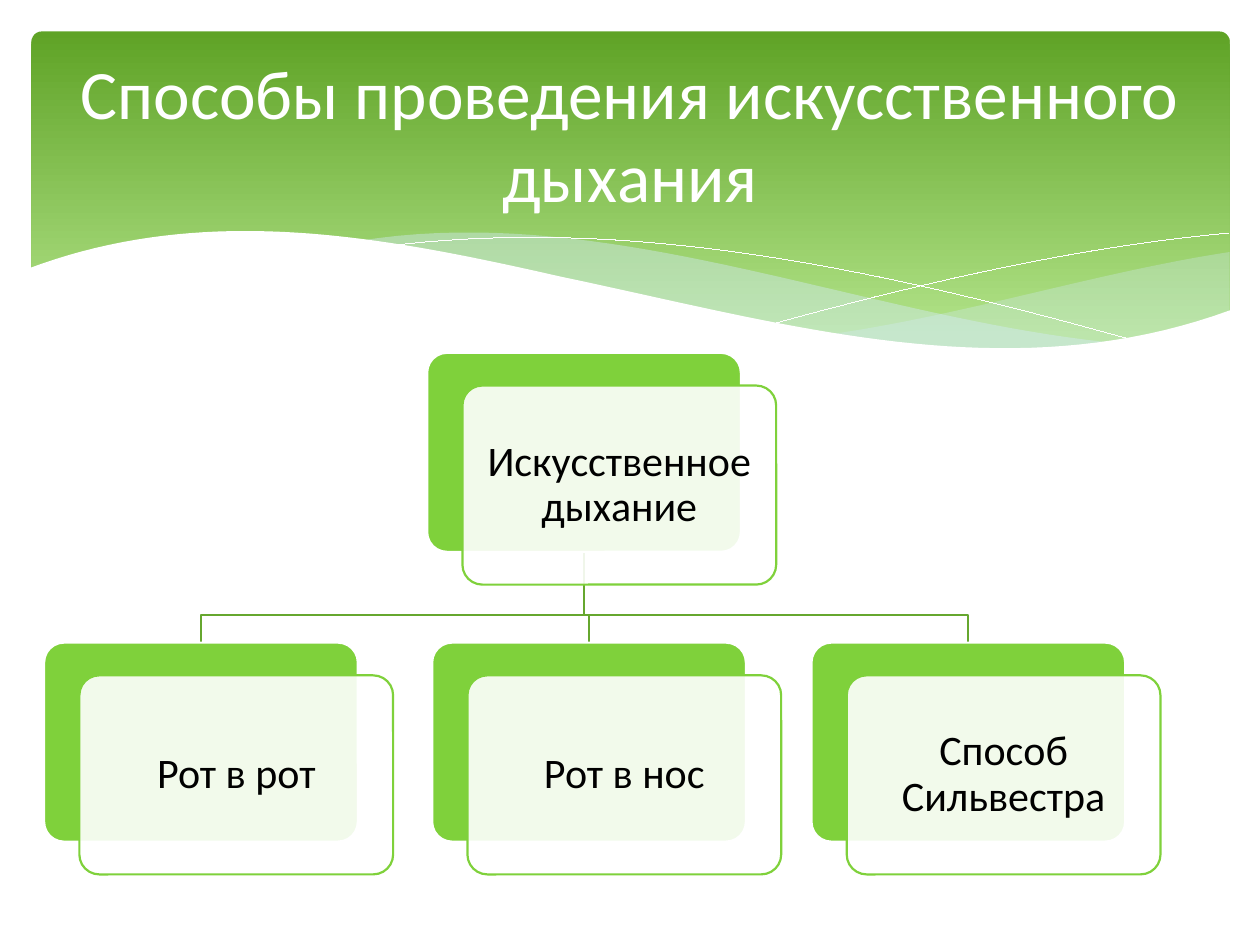
import math

import lxml.etree
import pptx
import pptx.dml.color
import pptx.enum.shapes
import pptx.enum.text
import pptx.oxml.ns
import pptx.util

Inches = pptx.util.Inches
Pt = pptx.util.Pt
rgb = pptx.dml.color.RGBColor.from_string
ROUNDED = pptx.enum.shapes.MSO_SHAPE.ROUNDED_RECTANGLE
MIDDLE = pptx.enum.text.MSO_ANCHOR.MIDDLE
CENTER = pptx.enum.text.PP_ALIGN.CENTER

WHITE, BLACK = "FFFFFF", "000000"
LIME, BRANCH_GREEN, PALE_BLUE = "7FD13B", "66A72F", "D6ECFF"
BANNER_TOP, BANNER_BOTTOM = "5FA326", "B2E389"


def paint(shape, fill=None, line=None, width=0, opacity=100):
    """Set fill, outline and fill opacity (percent), without a shadow."""
    shape.shadow.inherit = False
    for target, colour in ((shape.fill, fill), (shape.line.fill, line)):
        if colour:
            target.solid()
            target.fore_color.rgb = rgb(colour)
        else:
            target.background()
    if line:
        shape.line.width = Pt(width)
    if opacity < 100:
        qn = pptx.oxml.ns.qn
        colour_node = shape._element.spPr.find(qn("a:solidFill"))[0]
        lxml.etree.SubElement(colour_node, qn("a:alpha"), val=str(opacity * 1000))


def outline(points, closed):
    """Draw a freeform through points given in inches."""
    start, *rest = [(Inches(x), Inches(y)) for x, y in points]
    builder = slide.shapes.build_freeform(*start)
    builder.add_line_segments(rest, close=closed)
    return builder.convert_to_shape()


deck = pptx.Presentation()
deck.slide_width, deck.slide_height = Inches(10), Inches(7.5)
slide = deck.slides.add_slide(deck.slide_layouts[5])

# Green banner
MARGIN = 0.25
banner = slide.shapes.add_shape(
    ROUNDED, Inches(MARGIN), Inches(MARGIN), Inches(9.51), Inches(2.7))
banner.adjustments[0] = 0.03
paint(banner)
banner.fill.gradient()
banner.fill.gradient_angle = 270
for stop, colour, position in zip(
        banner.fill.gradient_stops, (BANNER_TOP, BANNER_BOTTOM), (0, 0.9)):
    stop.color.rgb = rgb(colour)
    stop.position = position

# Waves: each edge is a Bezier curve from one x to another, given by the
# heights of its control points, which are evenly spaced in x
CURVE_STEPS = 40
HAIRLINE = 0.01
right_wave = [(9.76, 6.61, (2, 2.16, 2.5, 2.65)),
              (6.61, 9.76, (2.65, 2.81, 2.9, 2.47))]
middle_wave = [(8.93, 2.86, (2.73, 2.55, 1.59, 1.91)),
               (2.86, 8.93, (1.91, 2.21, 2.98, 2.73))]
falling_line = [(3.09, 9.07, (1.95, 1.71, 2.16, 2.72))]
rising_line = [(6.13, 9.75, (2.57, 2.24, 1.96, 1.85))]
white_wave = [(9.77, 4.47, (2.46, 3.11, 2.57, 2.2)),
              (4.47, 0.23, (2.2, 1.88, 1.6, 2.13)),
              (0.23, 9.77, (3.29, 3.29))]
for edges, fill, opacity, line in (
        (right_wave, PALE_BLUE, 29, None),
        (middle_wave, PALE_BLUE, 40, None),
        (falling_line, None, 100, WHITE),
        (rising_line, None, 100, WHITE),
        (white_wave, WHITE, 100, None)):
    points = []
    for start_x, end_x, heights in edges:
        degree = len(heights) - 1
        for step in range(CURVE_STEPS + 1):
            t = step / CURVE_STEPS
            y = sum(math.comb(degree, i) * t**i * (1 - t)**(degree - i) * height
                    for i, height in enumerate(heights))
            points.append((start_x + t * (end_x - start_x), y))
    paint(outline(points, closed=fill is not None), fill, line, HAIRLINE, opacity)

# Hierarchy: one root card above a row of child cards
CARD_WIDTH, CARD_HEIGHT = 2.49, 1.58
SHIFT_X, SHIFT_Y = 0.28, 0.26
LABEL_INSET = 0.05
ROOT_TOP, BRANCH_Y, CHILD_TOP = 2.8, 4.88, 5.1
root = ("Искусственное дыхание", 3.39, ROOT_TOP)
children = [("Рот в рот", 0.35, CHILD_TOP),
            ("Рот в нос", 3.43, CHILD_TOP),
            ("Способ Сильвестра", 6.44, CHILD_TOP)]

# Branches from the root to each child
root_x = root[1] + CARD_WIDTH / 2
for text, left, top in reversed(children):
    child_x = left + CARD_WIDTH / 2
    branch = outline([(root_x, ROOT_TOP + CARD_HEIGHT), (root_x, BRANCH_Y),
                      (child_x, BRANCH_Y), (child_x, top)], closed=False)
    paint(branch, line=BRANCH_GREEN, width=1.25)

# Cards: green back, translucent front, label
for text, left, top in [root, *children]:
    front_left, front_top = left + SHIFT_X, top + SHIFT_Y
    for x, y, fill, line, opacity in (
            (left, top, LIME, WHITE, 100),
            (front_left, front_top, WHITE, LIME, 90)):
        card = slide.shapes.add_shape(
            ROUNDED, Inches(x), Inches(y), Inches(CARD_WIDTH), Inches(CARD_HEIGHT))
        card.adjustments[0] = 0.1
        paint(card, fill, line, 1.25, opacity)

    label = slide.shapes.add_textbox(
        Inches(front_left + LABEL_INSET), Inches(front_top + LABEL_INSET),
        Inches(CARD_WIDTH - 2 * LABEL_INSET), Inches(CARD_HEIGHT - 2 * LABEL_INSET))
    frame = label.text_frame
    frame.text = text
    frame.word_wrap = True
    frame.vertical_anchor = MIDDLE
    frame.margin_left = frame.margin_right = Inches(0.1)
    frame.margin_top = frame.margin_bottom = Inches(0.1)
    para = frame.paragraphs[0]
    para.alignment = CENTER
    para.line_spacing = 0.9
    span = para.runs[0]
    span.font.name, span.font.size = "Calibri", Pt(24)
    span.font.color.rgb = rgb(BLACK)

# Title, brought in front of the banner
title = slide.shapes.title
title.left, title.top = Inches(0.5), Inches(0.37)
title.width, title.height = Inches(9), Inches(1.37)
frame = title.text_frame
frame.text = "Способы проведения искусственного дыхания"
frame.auto_size = pptx.enum.text.MSO_AUTO_SIZE.NONE
frame.vertical_anchor = MIDDLE
para = frame.paragraphs[0]
para.alignment = CENTER
span = para.runs[0]
span.font.name, span.font.size = "Calibri", Pt(39.6)
span.font.color.rgb = rgb(WHITE)
slide.shapes._spTree.append(title._element)

deck.save("out.pptx")
